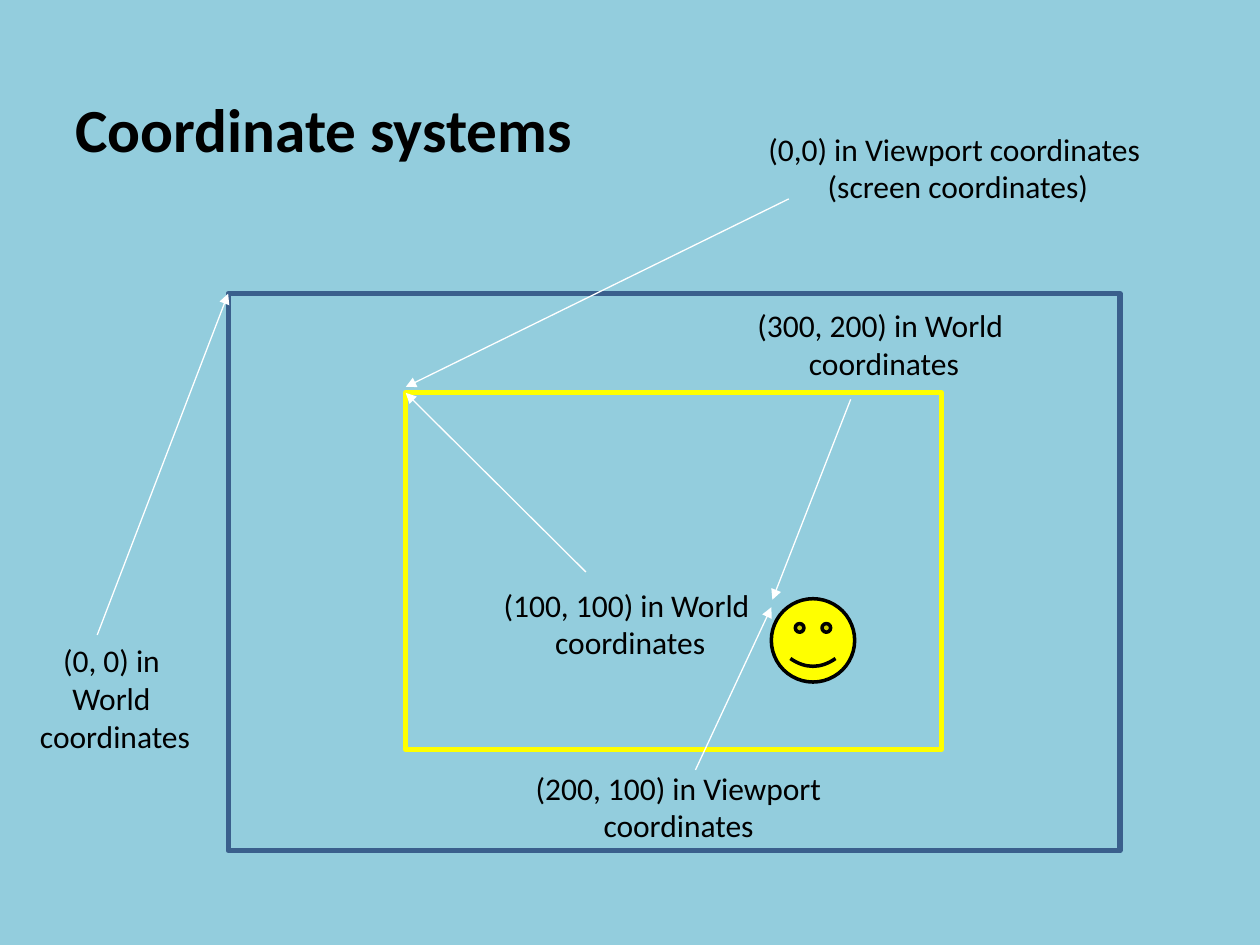
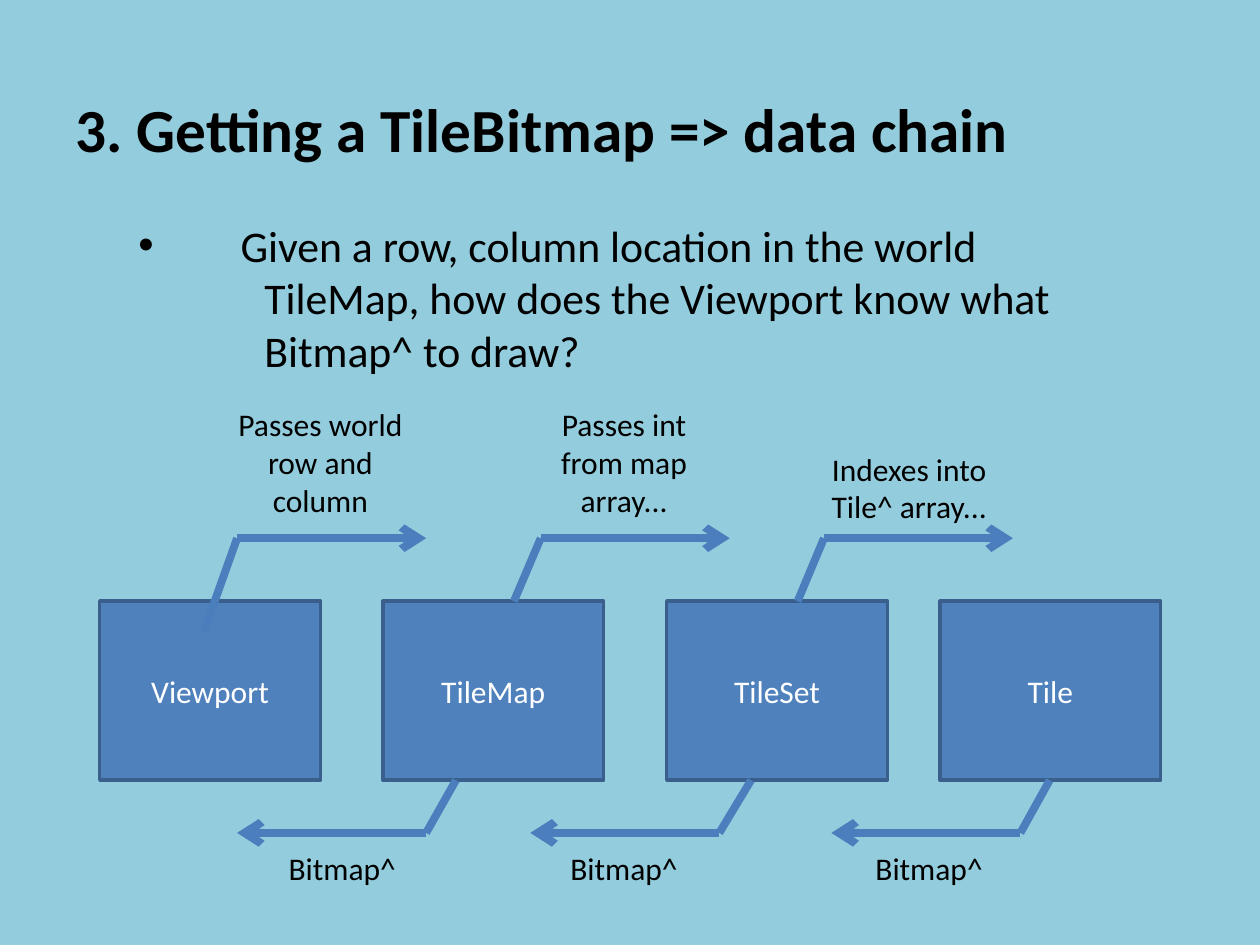
"""Build two slides on tile-engine coordinates and the tile bitmap data chain."""
import dataclasses

import lxml.etree
import pptx
import pptx.dml.color
import pptx.enum.shapes
import pptx.enum.text
import pptx.oxml.ns
import pptx.util

Cm, Pt = pptx.util.Cm, pptx.util.Pt
qn = pptx.oxml.ns.qn
SHAPE = pptx.enum.shapes.MSO_SHAPE
ALIGN = pptx.enum.text.PP_ALIGN


@dataclasses.dataclass(frozen=True)
class Theme:
    font: str = "Calibri"
    background: str = "93CDDD"
    ink: str = "000000"
    light: str = "FFFFFF"
    highlight: str = "FFFF00"
    box: str = "4F81BD"
    border: str = "3A5F8C"
    flow: str = "4B7EBC"
    title_size: float = 35
    body_size: float = 25
    label_size: float = 18
    frame_line: float = 3
    box_line: float = 2
    pointer_line: float = 0.75
    flow_line: float = 4.5


THEME = Theme()

COORDINATES_TITLE = "Coordinate systems"
WORLD = (4.6, 5.92, 17.98, 11.23)
VIEWPORT = (8.18, 7.92, 10.8, 7.19)
SPRITE = (15.55, 12.07, 1.68, 1.68)
POINTS = [
    (["(0,0) in Viewport coordinates", " (screen coordinates)"],
     (15.19, 2.49, 8.1, 2.57), False, (15.9, 4.01), (8.18, 7.8)),
    (["(0, 0) in ", "World ", "coordinates"],
     (0.53, 12.8, 3.58, 2.57), False, (1.96, 12.8), WORLD[:2]),
    (["(100, 100) in World ", "coordinates"],
     (9.86, 11.68, 5.69, 1.8), False, (11.81, 11.53), VIEWPORT[:2]),
    (["(300, 200) in World ", "coordinates"],
     (13.77, 6.05, 8.1, 2.57), True, (17.15, 8.05), (15.57, 12.09)),
    (["(200, 100) in Viewport", "coordinates"],
     (9.63, 15.37, 8.1, 2.57), True, (14.02, 15.52), (15.55, 12.24)),
]

CHAIN_TITLE = "3. Getting a TileBitmap => data chain"
QUESTION = [
    ("Given a row, column location in the world", 4.6, -2.06, "•"),
    ("TileMap, how does the Viewport know what", 5.08, 0, None),
    ("Bitmap^ to draw?", 5.08, 0, None),
]
CLASSES = [("Viewport", 2.01), ("TileMap", 7.72), ("TileSet", 13.44), ("Tile", 18.95)]
CLASS_TOP, CLASS_WIDTH, CLASS_HEIGHT = 12.12, 4.45, 3.61
CALL_Y, RETURN_Y, RETURN_LABEL_TOP = 10.85, 16.79, 16.99
ARROW_RUN, STEP_WIDTH = 3.81, 4.24
CALLS = [
    ("Passes world row and column", (4.34, 8.05), 2.57, 4.78, (4.11, 12.73)),
    ("Passes int from map array...", (10.46, 8.05), 2.57, 10.9, (10.36, CLASS_TOP)),
    ("Indexes into Tile^ array...", (16.21, 8.94), 1.8, 16.61, (16.08, CLASS_TOP)),
]
RETURN_VALUE = "Bitmap^"
RETURNS = [(4.78, 8.59, 9.19), (10.46, 14.5, 15.14), (16.61, 20.57, 21.16)]


def color(value):
    return pptx.dml.color.RGBColor.from_string(value)


def cm(values):
    return [Cm(value) for value in values]


def add_run(paragraph, text, size, ink=THEME.ink, bold=False):
    run = paragraph.add_run()
    run.text = text
    run.font.name = THEME.font
    run.font.size = Pt(size)
    run.font.bold = bold
    run.font.color.rgb = color(ink)


def indent(paragraph, left, first=0, bullet=None):
    properties = paragraph._p.get_or_add_pPr()
    properties.set("marL", str(Cm(left)))
    properties.set("indent", str(Cm(first)))
    if bullet:
        lxml.etree.SubElement(properties, qn("a:buFont"), typeface="Arial")
        lxml.etree.SubElement(properties, qn("a:buChar"), char=bullet)


def add_slide(deck, title, height):
    slide = deck.slides.add_slide(deck.slide_layouts[6])
    slide.background.fill.solid()
    slide.background.fill.fore_color.rgb = color(THEME.background)
    heading = slide.shapes.add_textbox(*cm((0, 0, 25.4, height))).text_frame
    heading.word_wrap = True
    heading.margin_top = Cm(1.85)
    indent(heading.paragraphs[0], 1.27)
    add_run(heading.paragraphs[0], title, THEME.title_size, bold=True)
    return slide, heading


def add_label(slide, lines, place, wrap=True):
    label = slide.shapes.add_textbox(*cm(place)).text_frame
    label.word_wrap = wrap
    label.auto_size = pptx.enum.text.MSO_AUTO_SIZE.SHAPE_TO_FIT_TEXT
    for number, line in enumerate(lines):
        paragraph = label.add_paragraph() if number else label.paragraphs[0]
        paragraph.alignment = ALIGN.CENTER
        add_run(paragraph, line, THEME.label_size)


def add_figure(slide, kind, place, border, width, fill=None):
    figure = slide.shapes.add_shape(kind, *cm(place))
    figure.shadow.inherit = False
    figure.line.color.rgb = color(border)
    figure.line.width = Pt(width)
    if fill:
        figure.fill.solid()
        figure.fill.fore_color.rgb = color(fill)
    else:
        figure.fill.background()
    return figure


def add_line(slide, start, end, ink, width, head=None):
    line = slide.shapes.add_connector(
        pptx.enum.shapes.MSO_CONNECTOR.STRAIGHT, *cm((*start, *end)))
    line.line.color.rgb = color(ink)
    line.line.width = Pt(width)
    properties = line.element.spPr
    if head:
        lxml.etree.SubElement(properties.find(qn("a:ln")), qn("a:tailEnd"), type=head)
    lxml.etree.SubElement(properties, qn("a:effectLst"))


def add_step(slide, foot, elbow, run):
    tip = (elbow[0] + run, elbow[1])
    add_line(slide, elbow, tip, THEME.flow, THEME.flow_line, "arrow")
    add_line(slide, elbow, foot, THEME.flow, THEME.flow_line)


def build_coordinates(deck):
    slide, _ = add_slide(deck, COORDINATES_TITLE, 4.52)
    add_figure(slide, SHAPE.RECTANGLE, WORLD, THEME.border, THEME.frame_line)
    add_figure(slide, SHAPE.RECTANGLE, VIEWPORT, THEME.highlight, THEME.frame_line)
    add_figure(slide, SHAPE.SMILEY_FACE, SPRITE, THEME.ink, THEME.box_line, THEME.highlight)
    for lines, place, wrap, start, end in POINTS:
        add_label(slide, lines, place, wrap)
        add_line(slide, start, end, THEME.light, THEME.pointer_line, "triangle")


def build_chain(deck):
    slide, heading = add_slide(deck, CHAIN_TITLE, 7.75)
    for number, (text, left, first, bullet) in enumerate(QUESTION):
        paragraph = heading.add_paragraph()
        if number == 0:
            paragraph.space_before = Pt(30.5)
        indent(paragraph, left, first, bullet)
        add_run(paragraph, text, THEME.body_size)

    for name, left in CLASSES:
        place = (left, CLASS_TOP, CLASS_WIDTH, CLASS_HEIGHT)
        box = add_figure(slide, SHAPE.RECTANGLE, place, THEME.border, THEME.box_line, THEME.box)
        box.text_frame.vertical_anchor = pptx.enum.text.MSO_ANCHOR.MIDDLE
        paragraph = box.text_frame.paragraphs[0]
        paragraph.alignment = ALIGN.CENTER
        add_run(paragraph, name, THEME.label_size, THEME.light)

    for text, corner, height, elbow, foot in CALLS:
        add_label(slide, [text], (*corner, STEP_WIDTH, height))
        add_step(slide, foot, (elbow, CALL_Y), ARROW_RUN)
    for left, elbow, foot in RETURNS:
        add_label(slide, [RETURN_VALUE], (left, RETURN_LABEL_TOP, STEP_WIDTH, 1.02))
        add_step(slide, (foot, CLASS_TOP + CLASS_HEIGHT), (elbow, RETURN_Y), -ARROW_RUN)


def main():
    deck = pptx.Presentation()
    deck.slide_width, deck.slide_height = cm((25.4, 19.05))
    build_coordinates(deck)
    build_chain(deck)
    deck.save("out.pptx")


if __name__ == "__main__":
    main()
